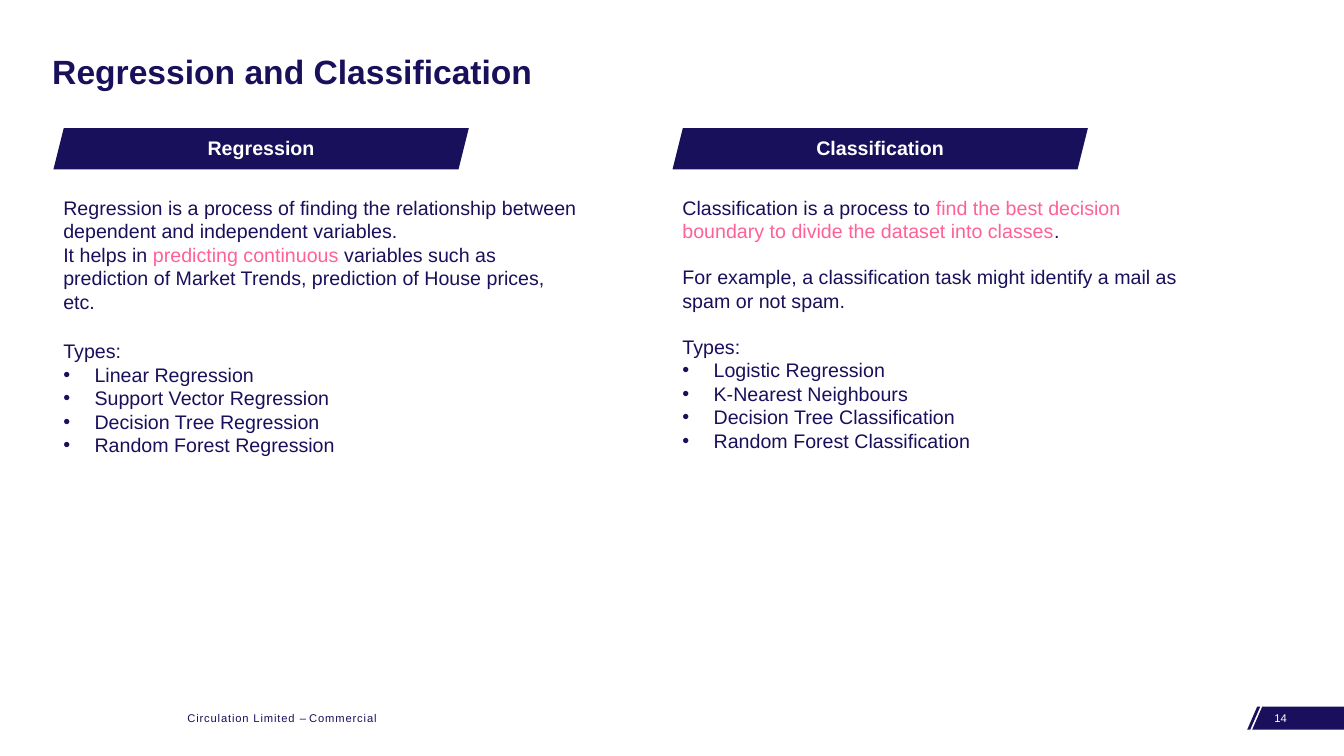
import pptx
import pptx.util
import pptx.dml.color
import pptx.enum.shapes
import pptx.enum.text
import pptx.oxml.ns
import lxml.etree

SCALE = 9144
NAVY, PINK, WHITE = "19105B", "FF6196", "FFFFFF"


def px(n):
    return pptx.util.Emu(n * SCALE)


def tint(code):
    return pptx.dml.color.RGBColor.from_string(code)


def write(para, text, size=14, color=NAVY, bold=False, track=0):
    run = para.add_run()
    run.text = text
    run.font.name = "Arial"
    run.font.size = pptx.util.Pt(size)
    run.font.bold = bold
    run.font.color.rgb = tint(color)
    if track:
        run.font._element.set("spc", str(track))


class Page:
    def __init__(self, deck):
        self.slide = deck.slides.add_slide(deck.slide_layouts[6])
        self.shapes = self.slide.shapes

    def paint(self, shape, color):
        shape.shadow.inherit = False
        shape.fill.solid()
        shape.fill.fore_color.rgb = tint(color)
        shape.line.fill.background()

    def box(self, x, y, w, h):
        frame = self.shapes.add_textbox(px(x), px(y), px(w), px(h)).text_frame
        frame.word_wrap = True
        return frame

    def label(self, x, y, w, h, parts, **style):
        para = self.box(x, y, w, h).paragraphs[0]
        for text, track in parts:
            write(para, text, track=track, **style)

    def title(self, x, y, w, h, text):
        frame = self.box(x, y, w, h)
        frame.vertical_anchor = pptx.enum.text.MSO_ANCHOR.MIDDLE
        para = frame.paragraphs[0]
        para.line_spacing = 0.9
        write(para, text, size=24, bold=True)

    def banner(self, x, y, w, h, text):
        kind = pptx.enum.shapes.MSO_SHAPE.PARALLELOGRAM
        shape = self.shapes.add_shape(kind, px(x), px(y), px(w), px(h))
        self.paint(shape, NAVY)
        frame = shape.text_frame
        frame.vertical_anchor = pptx.enum.text.MSO_ANCHOR.MIDDLE
        para = frame.paragraphs[0]
        para.alignment = pptx.enum.text.PP_ALIGN.CENTER
        para.line_spacing = 0.9
        write(para, text, color=WHITE, bold=True)

    def bullet(self, para):
        props = para._p.get_or_add_pPr()
        props.set("marL", str(px(31)))
        props.set("indent", str(px(-31)))
        tag = pptx.oxml.ns.qn
        lxml.etree.SubElement(props, tag("a:buFont")).set("typeface", "Arial")
        lxml.etree.SubElement(props, tag("a:buChar")).set("char", "•")

    def body(self, x, y, w, h, prose, types):
        frame = self.box(x, y, w, h)
        rows = prose + [(gap, [(text, NAVY)]) for gap, text in types[:1]]
        para = frame.paragraphs[0]
        for i, (gap, parts) in enumerate(rows):
            if i:
                para = frame.add_paragraph()
            if gap:
                para.space_before = pptx.util.Pt(gap)
            for text, color in parts:
                write(para, text, color=color)
        for item in types[1:]:
            para = frame.add_paragraph()
            self.bullet(para)
            write(para, item)

    def flag(self, outlines, color):
        first = outlines[0][0]
        pen = self.shapes.build_freeform(*first, scale=SCALE)
        for points in outlines:
            if points[0] != first:
                pen.move_to(*points[0])
            pen.add_line_segments(points[1:], close=True)
        self.paint(pen.convert_to_shape(), color)


TOPICS = [
    ("Regression", 249,
     [(0, [("Regression is a process of finding the relationship between "
            "dependent and independent variables.", NAVY)]),
      (0, [("It helps in ", NAVY), ("predicting continuous ", PINK),
           ("variables such as prediction of Market Trends, "
            "prediction of House prices, etc.", NAVY)])],
     [(18.4, "Types:"), "Linear Regression", "Support Vector Regression",
      "Decision Tree Regression", "Random Forest Regression"]),
    ("Classification", 269,
     [(0, [("Classification is a process to ", NAVY),
           ("find the best decision boundary to divide the dataset "
            "into classes", PINK), (".", NAVY)]),
      (16.1, [("For example, a classification task might identify a mail "
               "as spam or not spam.", NAVY)])],
     [(16.1, "Types:"), "Logistic Regression", "K-Nearest Neighbours",
      "Decision Tree Classification", "Random Forest Classification"]),
]


def main():
    deck = pptx.Presentation()
    deck.slide_width, deck.slide_height = px(1333), px(750)
    page = Page(deck)
    page.flag([
        [(1250, 701), (1247, 701), (1237, 724), (1240, 724)],
        [(1333, 701), (1252, 701), (1242, 724), (1333, 724)],
    ], "1A0F5C")
    page.label(176, 701, 219, 24, [("Circulation Limited ", 60), ("– ", 0),
                                   ("Commercial", 60)], size=8)
    page.label(1254, 701, 62, 24, [("14", 0)], size=8, color=WHITE)
    page.title(42, 20, 1250, 105, "Regression and Classification")
    for i, (name, tall, prose, types) in enumerate(TOPICS):
        left = 53 + 614 * i
        page.banner(left, 127, 412, 41, name)
        page.body(left, 189, 534, tall, prose, types)
    deck.save("out.pptx")


if __name__ == "__main__":
    main()
